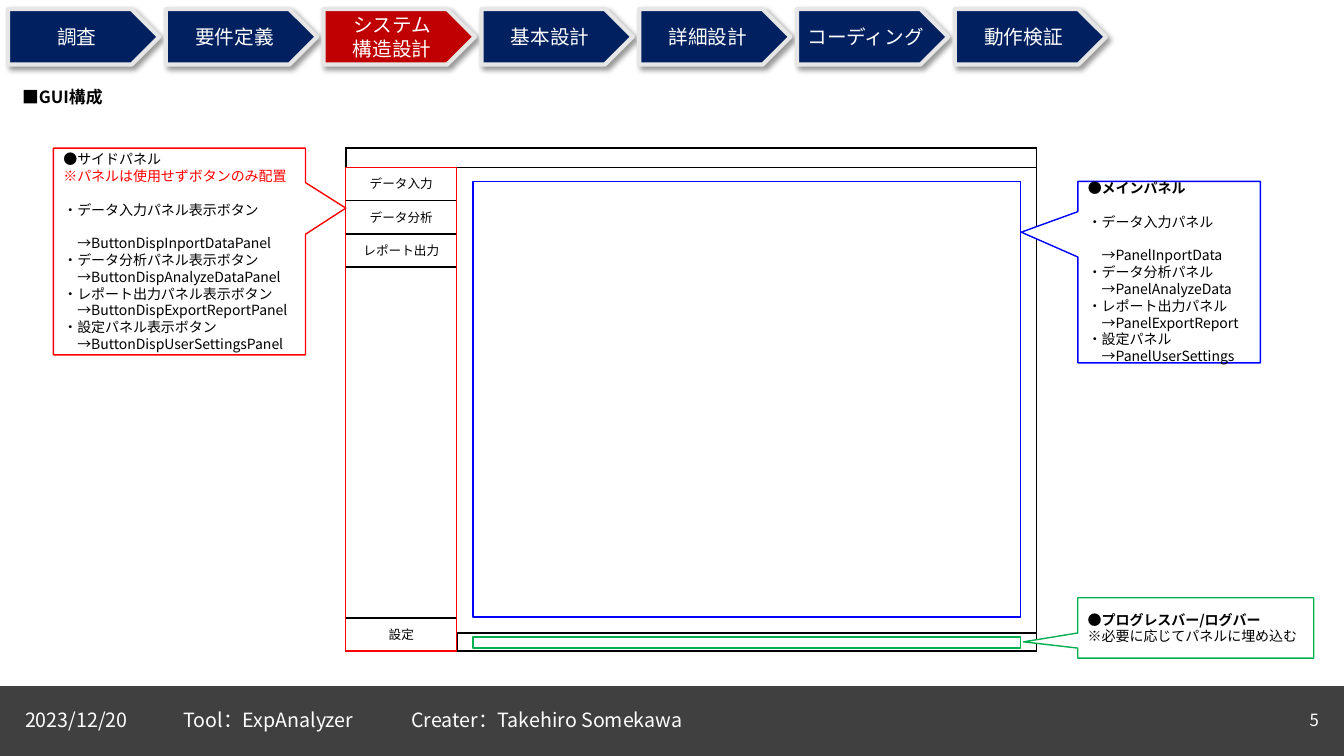
from dataclasses import dataclass

from lxml.etree import SubElement
from pptx import Presentation
from pptx.dml.color import RGBColor
from pptx.enum.shapes import MSO_SHAPE as Shape
from pptx.enum.text import MSO_ANCHOR as Anchor, PP_ALIGN as Align
from pptx.oxml.ns import qn
from pptx.util import Inches, Pt


@dataclass(frozen=True)
class Theme:
    font: str = "Noto Sans CJK JP"
    navy: str = "002060"
    active: str = "C00000"
    edge: str = "E7E6E6"
    footer: str = "404040"
    white: str = "FFFFFF"
    black: str = "000000"
    red: str = "FF0000"
    blue: str = "0000FF"
    green: str = "00B050"
    step_size: int = 14
    heading_size: int = 12
    note_size: int = 10
    button_size: int = 9


theme = Theme()
prs = Presentation()
prs.slide_width, prs.slide_height = Inches(13.33), Inches(7.5)
slide = prs.slides.add_slide(prs.slide_layouts[6])


def add_box(kind, box, fill, line, width=1):
    shape = slide.shapes.add_shape(kind, *map(Inches, box))
    shape.shadow.inherit = False
    if fill:
        shape.fill.solid()
        shape.fill.fore_color.rgb = RGBColor.from_string(fill)
    else:
        shape.fill.background()
    shape.line.color.rgb = RGBColor.from_string(line)
    shape.line.width = Pt(width)
    return shape


def write(shape, lines, size, color, align=Align.LEFT, bold_first=False,
          anchor=Anchor.MIDDLE, wrap=True):
    frame = shape.text_frame
    frame.word_wrap = wrap
    frame.vertical_anchor = anchor
    frame.text = "\n".join(lines)
    for i, paragraph in enumerate(frame.paragraphs):
        paragraph.alignment = align
        if len(lines) > 1:
            paragraph.line_spacing = Pt(round(size * 1.2))
        font = paragraph.font
        font.name, font.size = theme.font, Pt(size)
        font.bold = bold_first and i == 0
        font.color.rgb = RGBColor.from_string(color)
        east_asian = SubElement(paragraph._p.pPr.find(qn("a:defRPr")), qn("a:ea"))
        east_asian.set("typeface", theme.font)
    return frame.paragraphs


# Footer band
add_box(Shape.RECTANGLE, (0, 6.81, 13.33, 0.69), theme.footer, theme.footer)
for left, width, text, size, align in [
    (0.15, 1.5, "2023/12/20", 14, Align.LEFT),
    (1.72, 2.2, "Tool：ExpAnalyzer", 14, Align.LEFT),
    (3.98, 8.3, "Creater：Takehiro Somekawa", 14, Align.LEFT),
    (12.38, 0.8, "5", 12, Align.RIGHT),
]:
    footer_item = slide.shapes.add_textbox(*map(Inches, (left, 6.94, width, 0.4)))
    write(footer_item, [text], size, theme.white, align)

# Process steps
steps = [["調査"], ["要件定義"], ["システム", "構造設計"], ["基本設計"],
         ["詳細設計"], ["コーディング"], ["動作検証"]]
for i, label in enumerate(steps):
    step = add_box(Shape.PENTAGON, (0.08 + 1.565 * i, 0.09, 1.5, 0.55),
                   theme.active if i == 2 else theme.navy, theme.edge, 3)
    write(step, label, theme.step_size, theme.white, Align.CENTER, wrap=False)
    effects = step._element.spPr.find(qn("a:effectLst"))
    shadow = SubElement(effects, qn("a:outerShdw"), blurRad=str(Pt(4)),
                        dist=str(Pt(3)), dir="2700000", algn="tl", rotWithShape="0")
    shadow_color = SubElement(shadow, qn("a:srgbClr"), val=theme.black)
    SubElement(shadow_color, qn("a:alpha"), val="40000")

# Heading
heading = slide.shapes.add_textbox(*map(Inches, (0.12, 0.81, 1.19, 0.3)))
write(heading, ["■GUI構成"], theme.heading_size, theme.black,
      bold_first=True, anchor=Anchor.TOP, wrap=False)

# Window: frame, title bar, side panel
side_panel = (3.43, 1.66, 1.1, 4.8)
for box in [(3.43, 1.47, 6.85, 4.99), (3.43, 1.47, 6.85, 0.19), side_panel]:
    add_box(Shape.RECTANGLE, box, theme.white, theme.black)

# Side panel buttons
button_height = 0.33
for row_top, label in [(1.66, "データ入力"), (1.99, "データ分析"),
                       (2.32, "レポート出力"), (6.13, "設定")]:
    button = add_box(Shape.RECTANGLE, (3.43, row_top, 1.1, button_height),
                     theme.white, theme.black)
    write(button, [label], theme.button_size, theme.black, Align.CENTER, wrap=False)

# Status bar and coloured outlines of the three areas
add_box(Shape.RECTANGLE, (4.54, 6.28, 5.74, 0.18), theme.white, theme.black)
for box, color in [(side_panel, theme.red),
                   ((4.69, 1.8, 5.43, 4.32), theme.blue),
                   ((4.69, 6.32, 5.43, 0.11), theme.green)]:
    add_box(Shape.RECTANGLE, box, None, color)

# Callouts: box, pointer, colour, bold title, paragraphs followed by a gap, lines
callouts = [
    ((0.53, 1.47, 2.5, 2.05), (0.66, -0.21), theme.red, False, (1, 2), [
        "●サイドパネル",
        "※パネルは使用せずボタンのみ配置",
        "・データ入力パネル表示ボタン",
        "　→ButtonDispInportDataPanel",
        "・データ分析パネル表示ボタン",
        "　→ButtonDispAnalyzeDataPanel",
        "・レポート出力パネル表示ボタン",
        "　→ButtonDispExportReportPanel",
        "・設定パネル表示ボタン",
        "　→ButtonDispUserSettingsPanel"]),
    ((10.69, 1.8, 1.81, 1.8), (-0.81, -0.22), theme.blue, True, (0, 1), [
        "●メインパネル",
        "・データ入力パネル",
        "　→PanelInportData",
        "・データ分析パネル",
        "　→PanelAnalyzeData",
        "・レポート出力パネル",
        "　→PanelExportReport",
        "・設定パネル",
        "　→PanelUserSettings"]),
    ((10.69, 5.93, 2.34, 0.6), (-0.73, 0.23), theme.green, True, (), [
        "●プログレスバー/ログバー",
        "※必要に応じてパネルに埋め込む"]),
]
for box, pointer, color, bold_title, gaps, lines in callouts:
    callout = add_box(Shape.RECTANGULAR_CALLOUT, box, theme.white, color)
    callout.adjustments[0], callout.adjustments[1] = pointer
    paragraphs = write(callout, lines, theme.note_size, theme.black,
                       bold_first=bold_title)
    for i in gaps:
        paragraphs[i].space_after = Pt(12)
    if color == theme.red:
        paragraphs[1].font.color.rgb = RGBColor.from_string(theme.red)

prs.save("out.pptx")
